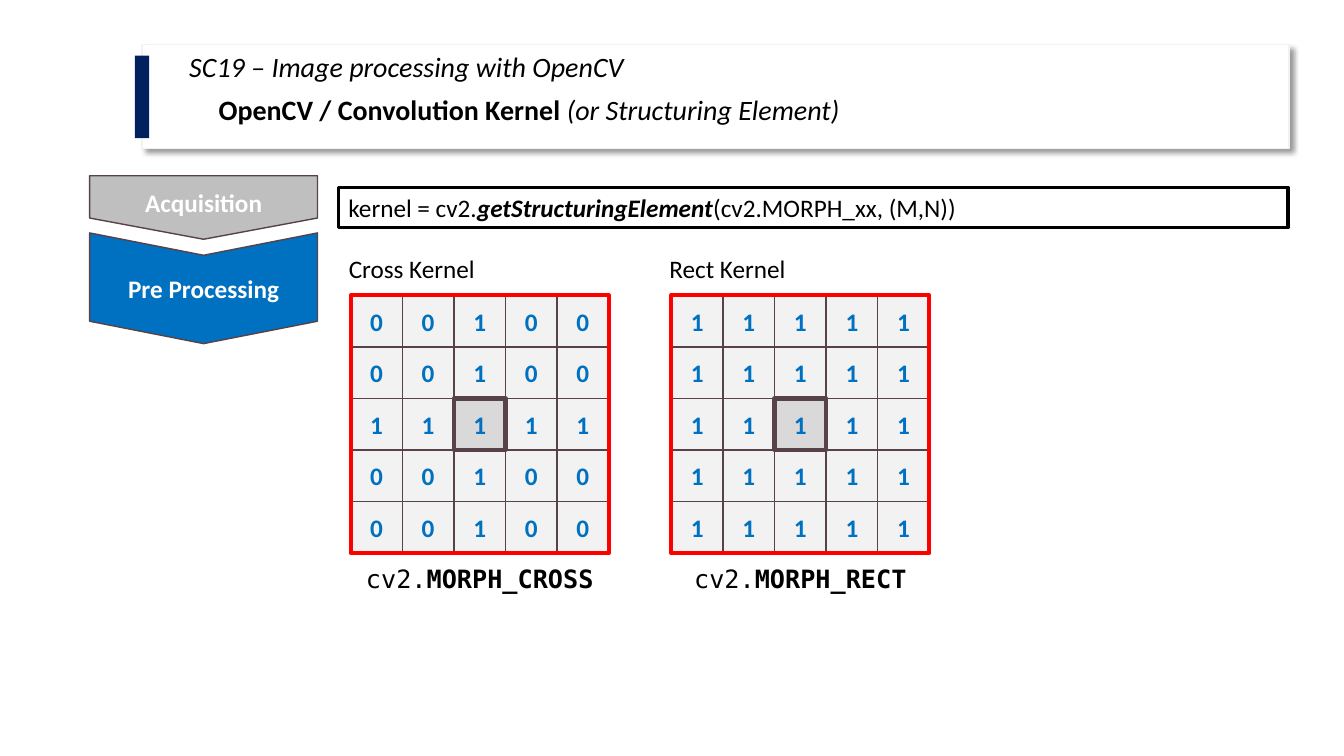
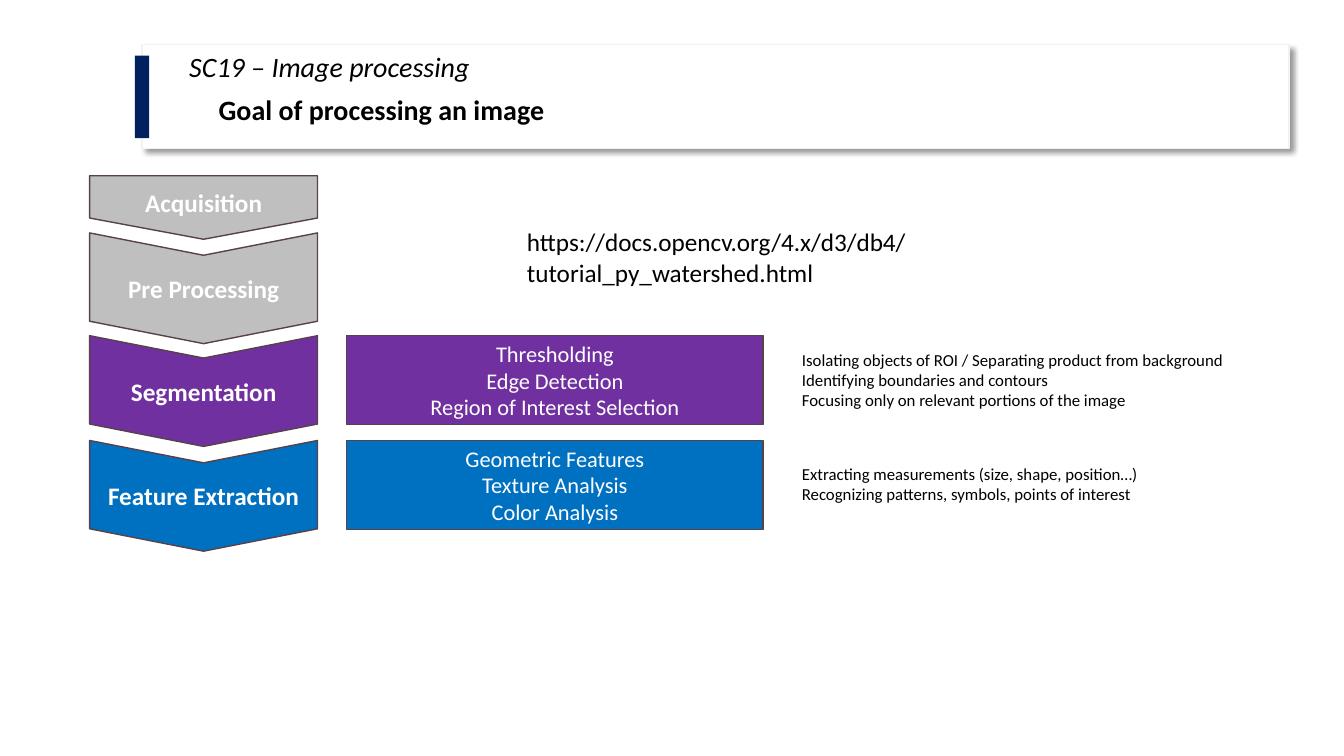
from lxml import etree
from pptx import Presentation
from pptx.dml.color import RGBColor
from pptx.enum.shapes import MSO_SHAPE
from pptx.enum.text import MSO_ANCHOR, PP_ALIGN
from pptx.oxml import parse_xml
from pptx.util import Cm, Pt

RECT, PLATE, CHEVRON = MSO_SHAPE.RECTANGLE, MSO_SHAPE.PENTAGON, MSO_SHAPE.CHEVRON
LEFT, CENTER = PP_ALIGN.LEFT, PP_ALIGN.CENTER
TOP, MIDDLE = MSO_ANCHOR.TOP, MSO_ANCHOR.MIDDLE

BODY_FONT, CODE_FONT = "Calibri", "DejaVu Sans Mono"
BLACK, WHITE, NAVY, RED = "000000", "FFFFFF", "002060", "FF0000"
BLUE, PURPLE, GREY, OUTLINE = "0070C0", "7030A0", "BFBFBF", "574249"
CELL_FILL, CENTER_FILL = "F2F2F2", "D9D9D9"

STAGE_LEFT, STAGE_WIDTH = 2.26, 5.74
STAGES = {
    "Acquisition": (PLATE, 4.43, 1.6, 0.334),
    "Pre Processing": (CHEVRON, 5.87, 2.79, 0.202),
    "Segmentation": (CHEVRON, 8.46, 2.79, 0.202),
    "Feature Extraction": (CHEVRON, 11.1, 2.79, 0.202),
}
CELL, KERNEL_TOP = 1.3, 7.44
CROSS = ["00100", "00100", "11111", "00100", "00100"]
FULL = ["11111"] * 5

DRAWING_NS = "http://schemas.openxmlformats.org/drawingml/2006/main"
SHADOW = f"""<a:effectLst xmlns:a="{DRAWING_NS}">
  <a:outerShdw blurRad="{Pt(4)}" dist="{Pt(3)}" dir="2700000" algn="tl" rotWithShape="0">
    <a:srgbClr val="{BLACK}"><a:alpha val="40000"/></a:srgbClr>
  </a:outerShdw>
</a:effectLst>"""


def rgb(value):
    """Turn a hex string into a colour."""
    return RGBColor.from_string(value)


def write(frame, lines, size=18, color=BLACK, align=LEFT, anchor=TOP, font=BODY_FONT):
    """Fill a frame with lines, each a list of (text, style) runs, style from 'b' and 'i'."""
    frame.word_wrap = True
    frame.vertical_anchor = anchor
    for index, pieces in enumerate(lines):
        paragraph = frame.add_paragraph() if index else frame.paragraphs[0]
        paragraph.alignment = align
        for text, style in pieces:
            run = paragraph.add_run()
            run.text = text
            run.font.name = font
            run.font.size = Pt(size)
            run.font.bold = "b" in style
            run.font.italic = "i" in style
            run.font.color.rgb = rgb(color)


def plain(*texts):
    """Make one unstyled line of each text."""
    return [[(text, "")] for text in texts]


def add_text(slide, box, lines, **style):
    """Add a text box at box, given in centimetres."""
    frame = slide.shapes.add_textbox(*map(Cm, box)).text_frame
    write(frame, lines, **style)
    return frame


def add_block(slide, box, fill=None, line=OUTLINE, width=1, kind=RECT):
    """Add a flat preset shape with optional fill and outline."""
    block = slide.shapes.add_shape(kind, *map(Cm, box))
    block.shadow.inherit = False
    if fill:
        block.fill.solid()
        block.fill.fore_color.rgb = rgb(fill)
    else:
        block.fill.background()
    if line:
        block.line.color.rgb = rgb(line)
        block.line.width = Pt(width)
    else:
        block.line.fill.background()
    return block


def add_header(slide, course, topic):
    """Add the shadowed title panel with its accent bar and two lines."""
    panel = add_block(slide, (3.58, 1.12, 28.91, 2.62), WHITE, CELL_FILL)
    properties = panel.element.spPr
    properties.remove(properties.find(f"{{{DRAWING_NS}}}effectLst"))
    properties.append(parse_xml(etree.tostring(etree.fromstring(SHADOW))))
    add_block(slide, (3.4, 1.4, 0.36, 2.08), NAVY, None)
    heading = add_text(slide, (4.52, 1.22, 23.24, 1.96), [[(course, "i")]], size=20)
    heading.paragraphs[0].line_spacing = 0.9
    add_text(slide, (5.26, 2.21, 20.6, 1.12), [topic], size=20)


def add_stage(slide, name, fill):
    """Add one downward arrow of the processing chain."""
    kind, top, height, point = STAGES[name]
    shift = (STAGE_WIDTH - height) / 2
    box = (STAGE_LEFT + shift, top - shift, height, STAGE_WIDTH)
    stage = add_block(slide, box, fill, kind=kind)
    stage.rotation = 90
    stage.adjustments[0] = point
    write(stage.text_frame, [[(name, "b")]], color=WHITE, align=CENTER, anchor=MIDDLE)
    stage.text_frame._txBody.bodyPr.set("vert", "vert270")


def add_cell(slide, left, row, column, value, fill=CELL_FILL, width=1):
    """Add one kernel cell."""
    box = (left + column * CELL, KERNEL_TOP + row * CELL, CELL, CELL)
    cell = add_block(slide, box, fill, width=width)
    write(cell.text_frame, [[(value, "b")]], color=BLUE, align=CENTER, anchor=MIDDLE)


def add_kernel(slide, left, label, rows, constant):
    """Add a labelled kernel grid with a marked centre and its constant."""
    side, middle = len(rows) * CELL, len(rows) // 2
    add_text(slide, (left - 0.3, KERNEL_TOP - 1.19, 5.08, 1.02), plain(label))
    for row, values in enumerate(rows):
        for column, value in enumerate(values):
            if (row, column) != (middle, middle):
                add_cell(slide, left, row, column, value)
    add_cell(slide, left, middle, middle, rows[middle][middle], CENTER_FILL, 3)
    add_block(slide, (left, KERNEL_TOP, side, side), line=RED, width=3)
    add_text(slide, (left, KERNEL_TOP + side + 0.13, side, 1.02),
             [[("cv2.", ""), (constant, "b")]], align=CENTER, font=CODE_FONT)


def add_step(slide, name, fill, methods, notes, notes_top, notes_height):
    """Add a stage with its methods panel and the notes beside it."""
    add_stage(slide, name, fill)
    panel = add_block(slide, (8.74, STAGES[name][1], 10.49, 2.24), fill)
    write(panel.text_frame, plain(*methods), size=16, color=WHITE, align=CENTER, anchor=MIDDLE)
    add_text(slide, (19.96, notes_top, 12.78, notes_height), plain(*notes), size=12)


def build_kernel_slide(slide):
    """Build the slide on convolution kernels."""
    add_header(slide, "SC19 – Image processing with OpenCV",
               [("OpenCV / Convolution Kernel ", "b"), ("(or Structuring Element)", "i")])
    add_stage(slide, "Pre Processing", BLUE)
    add_stage(slide, "Acquisition", GREY)
    add_kernel(slide, 8.84, "Cross Kernel", CROSS, "MORPH_CROSS")
    add_kernel(slide, 16.92, "Rect Kernel", FULL, "MORPH_RECT")
    call = add_block(slide, (8.53, 4.72, 23.93, 1.02), line=BLACK, width=2.25)
    write(call.text_frame, [[("kernel = cv2.", ""), ("getStructuringElement", "bi"),
                             ("(cv2.MORPH_xx, (M,N))", "")]])


def build_goal_slide(slide):
    """Build the slide on the goals of image processing."""
    add_header(slide, "SC19 – Image processing", [("Goal of processing an image", "b")])
    add_stage(slide, "Acquisition", GREY)
    add_stage(slide, "Pre Processing", GREY)
    add_step(slide, "Segmentation", PURPLE,
             ["Thresholding", "Edge Detection", "Region of Interest Selection"],
             ["Isolating objects of ROI / Separating product from background",
              "Identifying boundaries and contours",
              "Focusing only on relevant portions of the image"], 8.69, 1.8)
    add_step(slide, "Feature Extraction", BLUE,
             ["Geometric Features", "Texture Analysis", "Color Analysis"],
             ["Extracting measurements (size, shape, position…)",
              "Recognizing patterns, symbols, points of interest"], 11.56, 1.27)
    add_text(slide, (13.03, 5.59, 16.94, 1.8),
             plain("https://docs.opencv.org/4.x/d3/db4/tutorial_py_watershed.html"))


def main():
    """Build and save the presentation."""
    deck = Presentation()
    deck.slide_width, deck.slide_height = Cm(33.87), Cm(19.05)
    for build in (build_kernel_slide, build_goal_slide):
        build(deck.slides.add_slide(deck.slide_layouts[6]))
    deck.save("out.pptx")


if __name__ == "__main__":
    main()
